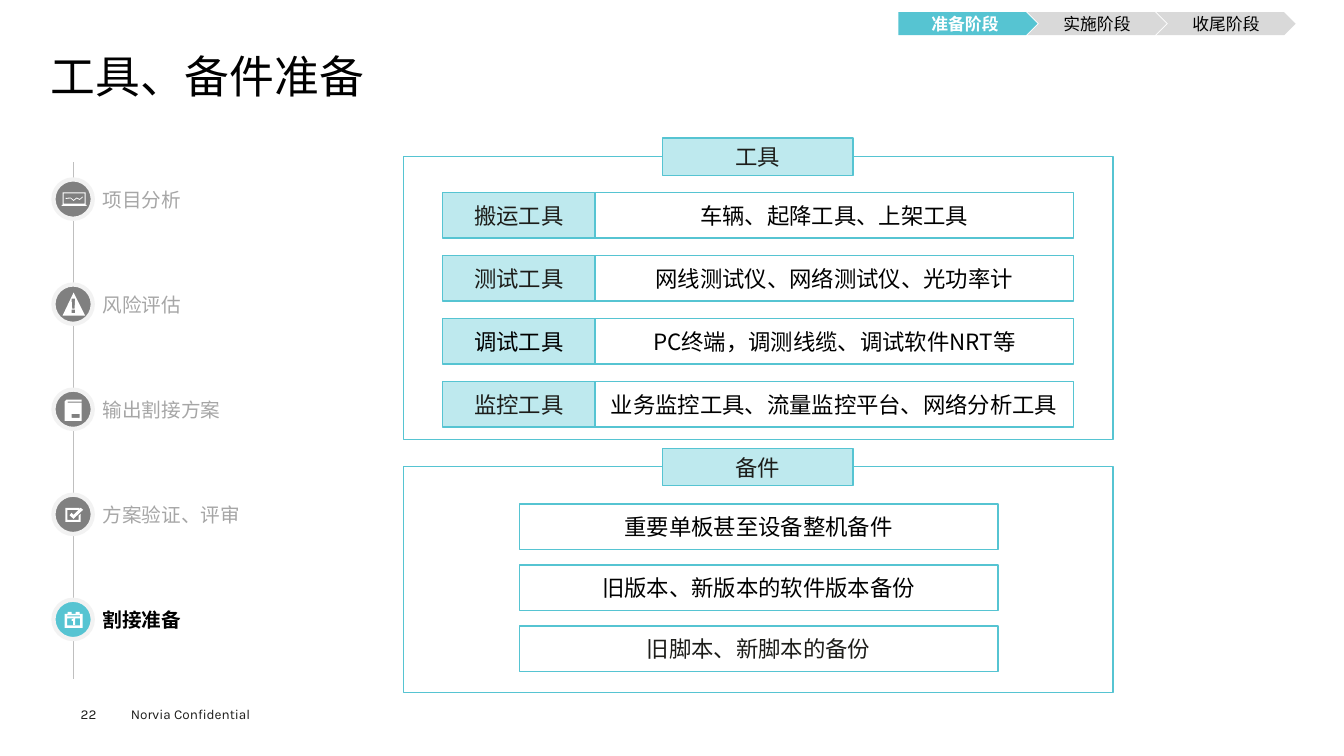
import dataclasses

import pptx
import pptx.dml.color
import pptx.enum.shapes
import pptx.enum.text
import pptx.oxml
import pptx.oxml.ns
import pptx.util
from pptx.util import Inches

SHAPE = pptx.enum.shapes.MSO_SHAPE
ANCHOR = pptx.enum.text.MSO_ANCHOR
ALIGN = pptx.enum.text.PP_ALIGN


@dataclasses.dataclass(frozen=True)
class Theme:
    """Colours, fonts and type sizes of the slide."""
    black: str = "000000"
    white: str = "FFFFFF"
    ink: str = "1D1D1A"
    footer_ink: str = "1D1D1B"
    muted: str = "A6A6A6"
    rail: str = "BFBFBF"
    disc: str = "808080"
    ring: str = "F2F2F2"
    accent: str = "56C4D2"
    tint: str = "BEE9EE"
    idle: str = "D9D9D9"
    latin: str = "Karla"
    cjk: str = "Noto Sans CJK SC"
    title: float = 32
    body: float = 16
    step: float = 14
    phase: float = 12
    footer: float = 9.7


class Deck:
    """Draws styled elements on the current slide."""

    def __init__(self, prs, theme):
        self.theme = theme
        self.s = prs.slides.add_slide(prs.slide_layouts[6])

    def color(self, value):
        return pptx.dml.color.RGBColor.from_string(value)

    def paint(self, sp, fill=None, line=None, width=1):
        sp.shadow.inherit = False
        if fill:
            sp.fill.solid()
            sp.fill.fore_color.rgb = self.color(fill)
        else:
            sp.fill.background()
        if line:
            sp.line.color.rgb = self.color(line)
            sp.line.width = pptx.util.Pt(width)
        else:
            sp.line.fill.background()

    def label(self, sp, text, size, color, bold=False, align=ALIGN.LEFT,
              anchor=ANCHOR.MIDDLE, inset=(0, 0), wrap=True, font=None):
        tf = sp.text_frame
        tf.word_wrap = wrap
        tf.vertical_anchor = anchor
        tf.margin_left = tf.margin_right = Inches(inset[0])
        tf.margin_top = tf.margin_bottom = Inches(inset[1])
        p = tf.paragraphs[0]
        p.text = text
        p.alignment = align
        p.font.size = pptx.util.Pt(size)
        p.font.bold = bold
        p.font.name = font or self.theme.latin
        p.font.color.rgb = self.color(color)
        props = p._p.pPr.find(pptx.oxml.ns.qn("a:defRPr"))
        ea = pptx.oxml.parse_xml(
            f'<a:ea {pptx.oxml.ns.nsdecls("a")} typeface="{self.theme.cjk}"/>')
        props.find(pptx.oxml.ns.qn("a:latin")).addnext(ea)
        return p

    def text(self, x, y, w, h, text, size, color, **style):
        sp = self.s.shapes.add_textbox(Inches(x), Inches(y), Inches(w), Inches(h))
        return self.label(sp, text, size, color, **style)

    def shape(self, kind, x, y, w, h, fill=None, line=None, width=1):
        sp = self.s.shapes.add_shape(kind, Inches(x), Inches(y), Inches(w), Inches(h))
        self.paint(sp, fill, line, width)
        return sp

    def box(self, x, y, w, h, text="", fill=None, color=None, font=None):
        sp = self.shape(SHAPE.RECTANGLE, x, y, w, h, fill, self.theme.accent)
        if text:
            self.label(sp, text, self.theme.body, color or self.theme.ink,
                       align=ALIGN.CENTER, font=font)

    def panel(self, y, h, heading):
        self.box(4, y, 7.04, h)
        self.box(6.57, y - 0.18, 1.89, 0.37, heading, self.theme.tint)

    def phase(self, kind, x, text, fill, color, bold):
        sp = self.shape(kind, x, 0.12, 1.38, 0.23, fill)
        self.label(sp, text, self.theme.phase, color, bold, ALIGN.CENTER)

    def rail(self, x, top, bottom):
        c = self.s.shapes.add_connector(
            pptx.enum.shapes.MSO_CONNECTOR.STRAIGHT,
            Inches(x), Inches(top), Inches(x), Inches(bottom))
        c.line.color.rgb = self.color(self.theme.rail)
        c.line.width = pptx.util.Pt(0.25)
        c._element.spPr.append(pptx.oxml.parse_xml(
            f'<a:effectLst {pptx.oxml.ns.nsdecls("a")}/>'))

    def icon(self, x, y, contours):
        scaled = [[(px * 10, py * 10) for px, py in c] for c in contours]
        fb = self.s.shapes.build_freeform(*scaled[0][0], scale=Inches(0.001))
        fb.add_line_segments(scaled[0][1:], close=True)
        for contour in scaled[1:]:
            fb.move_to(*contour[0])
            fb.add_line_segments(contour[1:], close=True)
        self.paint(fb.convert_to_shape(Inches(x), Inches(y)), self.theme.white)

    def step(self, x, y, text, contours, active):
        t = self.theme
        self.shape(SHAPE.OVAL, x - 0.2, y - 0.2, 0.39, 0.39,
                   t.accent if active else t.disc, t.ring, 3)
        self.icon(x, y, contours)
        self.text(x + 0.19, y - 0.24, 1.73, 0.48, text, t.step,
                  t.black if active else t.muted, bold=active,
                  inset=(0.1, 0.05), wrap=False)


def rect(left, top, right, bottom):
    return [(left, top), (right, top), (right, bottom), (left, bottom)]


WAVE = [(-8, -1.5), (-3, -2), (0, 0.5), (3, -2), (6, -0.5), (9, -3)]
MONITOR = [rect(-11, -7, 12, 5), rect(-10, -6, 11, 4), rect(-12, 5.3, 13, 6.3),
           WAVE + [(x, y + 0.9) for x, y in reversed(WAVE)]]
WARNING = [[(0, -12), (11.5, 11), (-11, 11)],
           [(-2, -6), (1.5, -6), (1, 4), (-1.5, 4)], rect(-2, 5, 1.5, 8.5)]
BOOK = [[(-7, -10), (8, -10), (8, -8), (-6, -8), (-6, -7), (8, -7),
         (8, 11), (-9, 11), (-9, -8)], rect(-2, 4, 6, 8)]
CHECK = [[(7, -7), (9.5, -5), (0, 4), (-4, 0.5), (-2, -2), (0, 0)],
         [(-8, -7), (6, -7), (5, -5), (-6, -5), (-6, 5), (5, 5), (5, 1),
          (7, -1), (7, 7), (-8, 7)]]
CALENDAR = [[(-9, -6), (-6, -6), (-6, -8), (-2, -8), (-2, -6), (2, -6), (2, -8),
             (6, -8), (6, -6), (9, -6), (9, 8), (-9, 8)],
            rect(-6.5, -4.5, 6.5, -3.5), rect(-6.5, -1.5, 6.5, 5.5),
            [(-2, -0.5), (1.5, -1.5), (1.5, 5), (-0.5, 5), (-0.5, 1), (-2, 1)]]

STEPS = [("项目分析", MONITOR), ("风险评估", WARNING), ("输出割接方案", BOOK),
         ("方案验证、评审", CHECK), ("割接准备", CALENDAR)]
PHASES = ["准备阶段", "实施阶段", "收尾阶段"]
TOOLS = [("搬运工具", "车辆、起降工具、上架工具"),
         ("测试工具", "网线测试仪、网络测试仪、光功率计"),
         ("调试工具", "PC终端，调测线缆、调试软件NRT等"),
         ("监控工具", "业务监控工具、流量监控平台、网络分析工具")]
SPARES = ["重要单板甚至设备整机备件", "旧版本、新版本的软件版本备份", "旧脚本、新脚本的备份"]


def main():
    prs = pptx.Presentation()
    prs.slide_width, prs.slide_height = Inches(13.33), Inches(7.5)
    t = Theme()
    d = Deck(prs, t)

    d.text(1.2, 6.95, 1.6, 0.27, "Norvia Confidential", t.footer, t.footer_ink,
           anchor=ANCHOR.TOP, inset=(0.1, 0.05))
    d.text(0.8, 7, 0.55, 0.16, "22", t.footer, t.footer_ink, anchor=ANCHOR.TOP)
    p = d.text(0.5, 0.49, 12.35, 0.53, "工具、备件准备", t.title, t.black,
               anchor=ANCHOR.BOTTOM)
    p.line_spacing = 0.9

    d.rail(0.73, 1.61, 6.74)
    first, last = 1.98, 6.15
    gap = (last - first) / (len(STEPS) - 1)
    for i, (label, contours) in enumerate(STEPS):
        d.step(0.73, first + i * gap, label, contours, label == STEPS[-1][0])

    d.panel(1.55, 2.81, "工具")
    d.panel(4.63, 2.24, "备件")
    for i, text in enumerate(SPARES):
        color = t.ink if text == SPARES[-1] else t.black
        d.box(5.15, 5 + i * 0.605, 4.75, 0.45, text, color=color, font=t.cjk)
    for i, (label, text) in enumerate(TOOLS):
        y = 1.91 + i * 0.625
        d.box(5.9, y, 4.75, 0.45, text, color=t.black, font=t.cjk)
        color = t.black if label == "调试工具" else t.ink
        d.box(4.39, y, 1.51, 0.45, label, t.tint, color)

    for i, text in enumerate(PHASES):
        active = i == 0
        d.phase(SHAPE.PENTAGON if active else SHAPE.CHEVRON, 8.91 + i * 1.28, text,
                t.accent if active else t.idle, t.white if active else t.black, active)

    prs.save("out.pptx")


if __name__ == "__main__":
    main()
